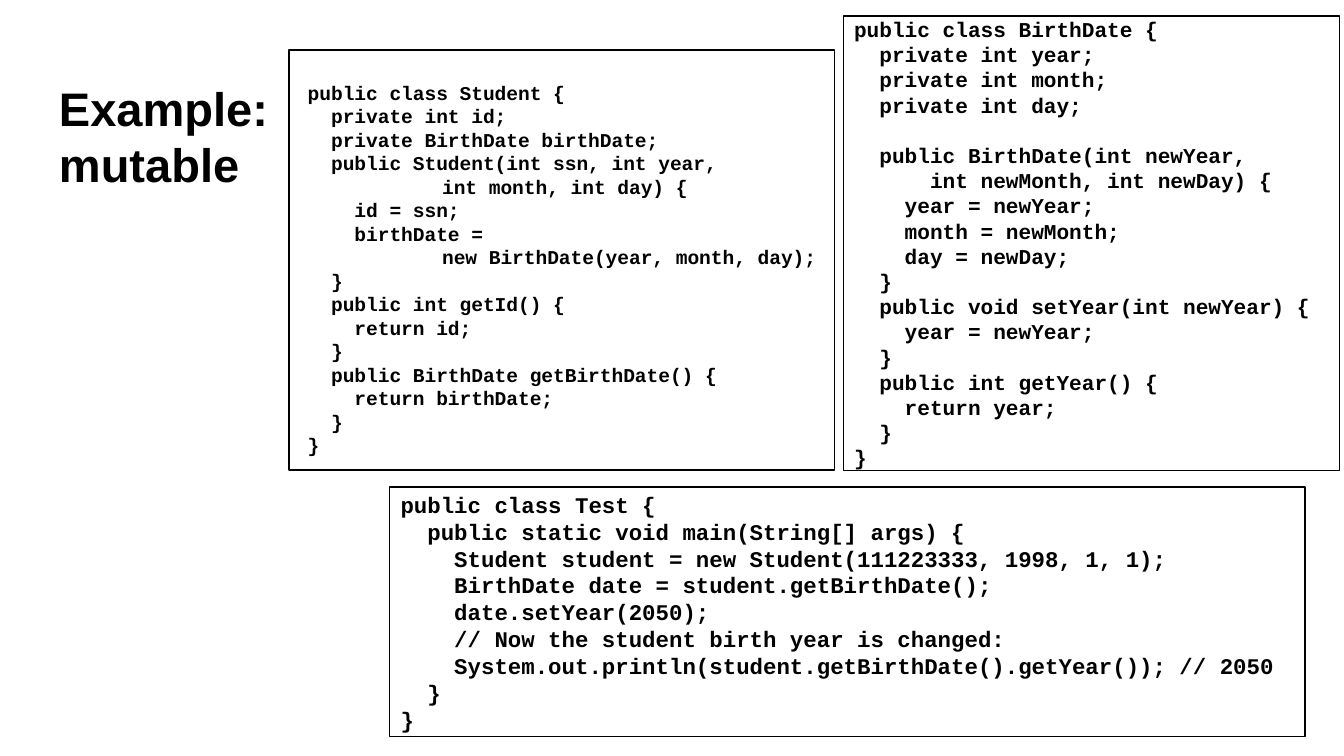
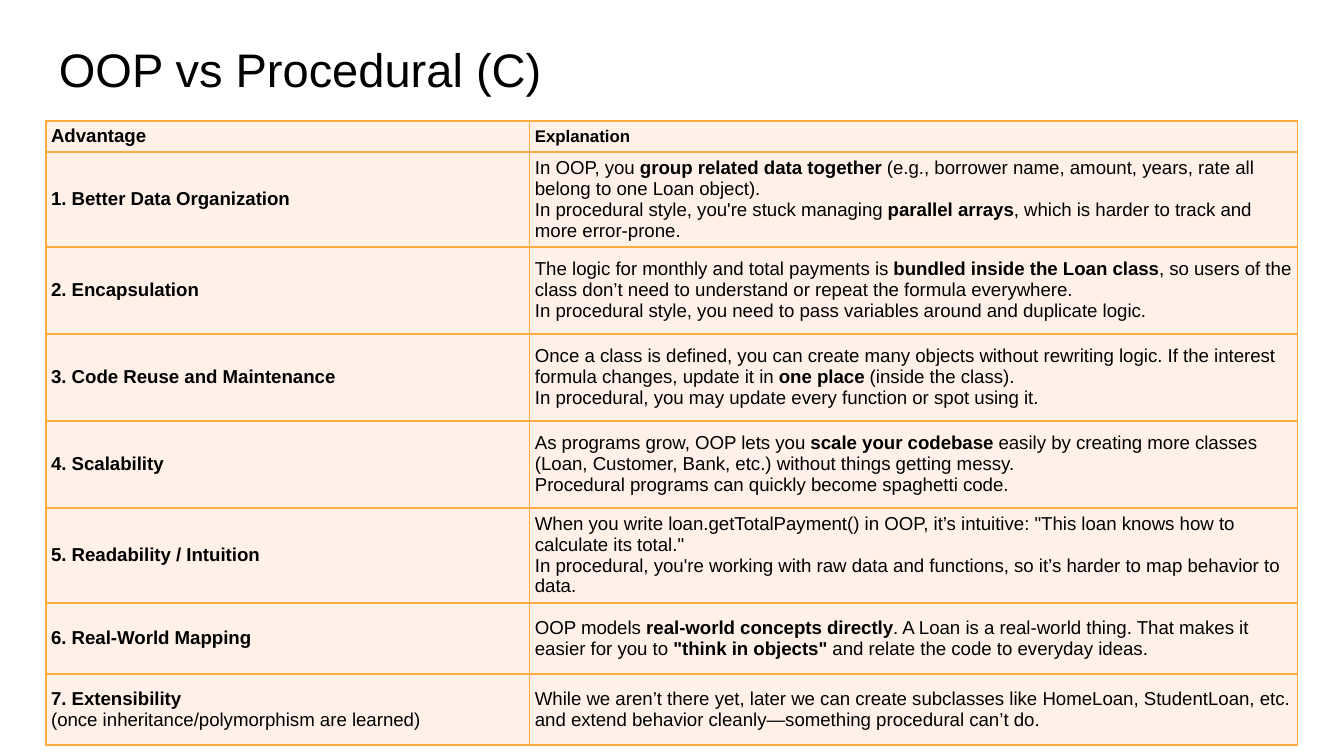
from lxml import etree
from pptx import Presentation
from pptx.dml.color import RGBColor
from pptx.enum.shapes import MSO_SHAPE
from pptx.enum.text import MSO_ANCHOR, PP_ALIGN
from pptx.oxml.ns import qn
from pptx.util import Inches, Pt

RECTANGLE = MSO_SHAPE.RECTANGLE
TOP, MIDDLE = MSO_ANCHOR.TOP, MSO_ANCHOR.MIDDLE
LEFT = PP_ALIGN.LEFT

BLACK = RGBColor(0x00, 0x00, 0x00)
ORANGE = RGBColor(0xFF, 0xAB, 0x40)
CREAM = RGBColor(0xFF, 0xF1, 0xE8)

TITLE_FONT = "Arial"
CODE_FONT = "Courier New"
WIDTH = Inches(10)
HEIGHT = WIDTH * 9 // 16
GRID = WIDTH / 100
MARGIN = 3.4

STUDENT_CODE = [
    """public class Student {
  private int id;
  private BirthDate birthDate;
  public Student(int ssn, int year, 
 \tint month, int day) {
    id = ssn;
    birthDate =""",
    """\tnew BirthDate(year, month, day);
  }
  public int getId() {
    return id;
  }
  public BirthDate getBirthDate() {
    return birthDate;
  }
}""",
]
BIRTH_DATE_CODE = [
    """public class BirthDate {
  private int year;
  private int month;
  private int day;""",
    """
  public BirthDate(int newYear, 
      int newMonth, int newDay) {
    year = newYear;
    month = newMonth;
    day = newDay;
  }
  public void setYear(int newYear) {
    year = newYear;
  }""",
    """  public int getYear() {
    return year;
  }
}""",
]
TEST_CODE = [
    """public class Test {
  public static void main(String[] args) {
    Student student = new Student(111223333, 1998, 1, 1);
    BirthDate date = student.getBirthDate();
    date.setYear(2050);""",
    "    // Now the student birth year is changed:",
    "    System.out.println(student.getBirthDate().getYear()); // 2050",
    """  }
}""",
]

ADVANTAGES = [
    (["**Advantage**"], ["**Explanation**"]),
    (["**1. Better Data Organization**"],
     ["In OOP, you **group related data together** (e.g., borrower name, amount, "
      "years, rate all belong to one Loan object).",
      "In procedural style, you're stuck managing **parallel arrays**, which is "
      "harder to track and more error-prone."]),
    (["**2. Encapsulation**"],
     ["The logic for monthly and total payments is **bundled inside the Loan class**, "
      "so users of the class don’t need to understand or repeat the formula everywhere.",
      "In procedural style, you need to pass variables around and duplicate logic."]),
    (["**3. Code Reuse and Maintenance**"],
     ["Once a class is defined, you can create many objects without rewriting logic. "
      "If the interest formula changes, update it in **one place** (inside the class).",
      "In procedural, you may update every function or spot using it."]),
    (["**4. Scalability**"],
     ["As programs grow, OOP lets you **scale your codebase** easily by creating more "
      "classes (Loan, Customer, Bank, etc.) without things getting messy.",
      "Procedural programs can quickly become spaghetti code."]),
    (["**5. Readability / Intuition**"],
     ["When you write loan.getTotalPayment() in OOP, it’s intuitive: \"This loan knows "
      "how to calculate its total.\"",
      "In procedural, you're working with raw data and functions, so it’s harder to "
      "map behavior to data."]),
    (["**6. Real-World Mapping**"],
     ["OOP models **real-world concepts directly**. A Loan is a real-world thing. That "
      "makes it easier for you to **\"think in objects\"** and relate the code to "
      "everyday ideas."]),
    (["**7. Extensibility**", "(once inheritance/polymorphism are learned)"],
     ["While we aren’t there yet, later we can create subclasses like HomeLoan, "
      "StudentLoan, etc. and extend behavior cleanly—something procedural can’t do."]),
]
COLUMN_SPANS = [36, 57.15]
ROW_SPANS = [2.3, 7] + [6.47] * 4 + [5.28] * 2


def place(*spans):
    return [round(span * GRID) for span in spans]


def set_insets(target, horizontal, vertical):
    target.margin_left = target.margin_right = round(horizontal * GRID)
    target.margin_top = target.margin_bottom = round(vertical * GRID)


def style_run(run, font_name, size, bold):
    run.font.name = font_name
    run.font.size = Pt(size)
    run.font.bold = bold
    run.font.color.rgb = BLACK


def style_paragraph(paragraph, font_name, size, bold):
    for run in paragraph.runs:
        style_run(run, font_name, size, bold)
    for line_break in paragraph._p.findall(qn("a:br")):
        props = etree.SubElement(line_break, qn("a:rPr"), sz=str(round(size * 100)))
        etree.SubElement(props, qn("a:latin"), typeface=font_name)


def add_title(slide, title, top, width, bold):
    frame = slide.shapes.add_textbox(*place(MARGIN, top, width, 6.3)).text_frame
    frame.word_wrap = True
    frame.vertical_anchor = TOP
    set_insets(frame, 1, 1)
    heading = frame.paragraphs[0]
    heading.text = title
    style_paragraph(heading, TITLE_FONT, 25.2, bold)


def add_frame(slide, area, line_width):
    border = slide.shapes.add_shape(RECTANGLE, *place(*area))
    border.shadow.inherit = False
    border.fill.background()
    border.line.color.rgb = BLACK
    border.line.width = Pt(line_width)
    return border


def add_tab_stop(paragraph, position):
    stops = etree.SubElement(paragraph._p.get_or_add_pPr(), qn("a:tabLst"))
    etree.SubElement(stops, qn("a:tab"), pos=str(position), algn="l")


def write_code(listing, blocks, size):
    frame = listing.text_frame
    frame.word_wrap = True
    frame.vertical_anchor = MIDDLE
    set_insets(frame, 0.8, 0.4)
    for index, block in enumerate(blocks):
        paragraph = frame.paragraphs[0] if index == 0 else frame.add_paragraph()
        paragraph.text = block
        paragraph.alignment = LEFT
        if "\t" in block:
            add_tab_stop(paragraph, Inches(1))
        style_paragraph(paragraph, CODE_FONT, size, True)


def set_borders(cell):
    for side in ("lnL", "lnR", "lnT", "lnB"):
        line = etree.SubElement(cell._tc.get_or_add_tcPr(), qn(f"a:{side}"), w=str(Pt(1)))
        fill = etree.SubElement(line, qn("a:solidFill"))
        etree.SubElement(fill, qn("a:srgbClr"), val=str(ORANGE))


def write_cell(cell, lines, size):
    cell.vertical_anchor = MIDDLE
    set_insets(cell, 0.4, 0.2)
    frame = cell.text_frame
    for index, line in enumerate(lines):
        paragraph = frame.paragraphs[0] if index == 0 else frame.add_paragraph()
        for position, part in enumerate(line.split("**")):
            if part:
                run = paragraph.add_run()
                run.text = part
                style_run(run, TITLE_FONT, size, position % 2 == 1)


def add_advantages(slide):
    area = place(MARGIN, 9, sum(COLUMN_SPANS), sum(ROW_SPANS))
    table = slide.shapes.add_table(len(ADVANTAGES), len(COLUMN_SPANS), *area).table
    table.first_row = table.horz_banding = False
    for column, span in zip(table.columns, COLUMN_SPANS):
        column.width = round(span * GRID)
    for index, (span, entries) in enumerate(zip(ROW_SPANS, ADVANTAGES)):
        table.rows[index].height = round(span * GRID)
        for position, lines in enumerate(entries):
            cell = table.cell(index, position)
            write_cell(cell, lines, 9 if (index, position) == (0, 1) else 10)
            set_borders(cell)
            cell.fill.solid()
            cell.fill.fore_color.rgb = CREAM


def build_mutable_example(slide):
    add_title(slide, "Example: \nmutable", 4.9, 31.9, True)
    student = slide.shapes.add_textbox(*place(22.1, 5.6, 40.7, 28.8))
    write_code(student, STUDENT_CODE, 10.5)
    birth_date = add_frame(slide, (62.75, 1.2, 36.9, 33.8), 0.75)
    write_code(birth_date, BIRTH_DATE_CODE, 11.25)
    test = add_frame(slide, (29, 36.25, 68.1, 18.55), 0.75)
    write_code(test, TEST_CODE, 12)
    add_frame(slide, (21.5, 3.75, 40.6, 31.2), 1)


def build_comparison(slide):
    add_title(slide, "OOP vs Procedural (C)", 2, 93.2, False)
    add_advantages(slide)


def main():
    deck = Presentation()
    deck.slide_width, deck.slide_height = WIDTH, HEIGHT
    blank = deck.slide_layouts[6]
    for build in (build_mutable_example, build_comparison):
        build(deck.slides.add_slide(blank))
    deck.save("out.pptx")


if __name__ == "__main__":
    main()
